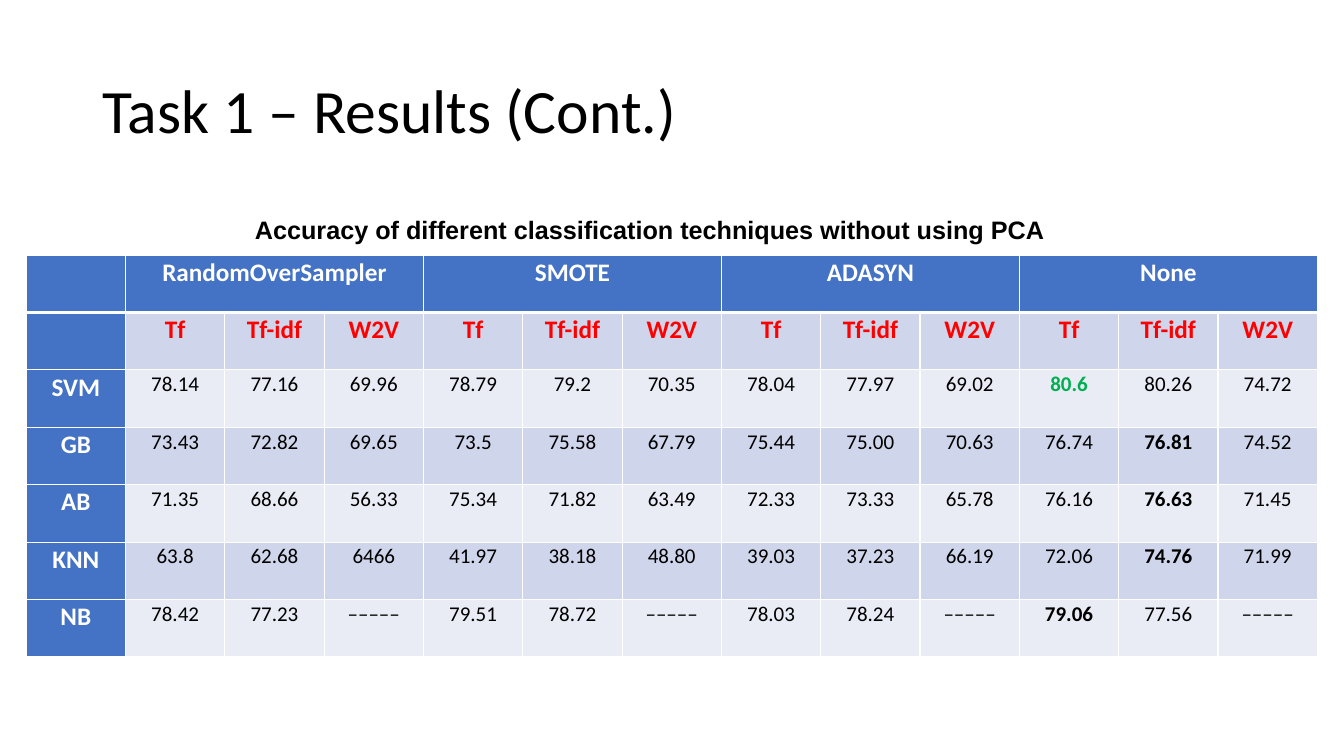
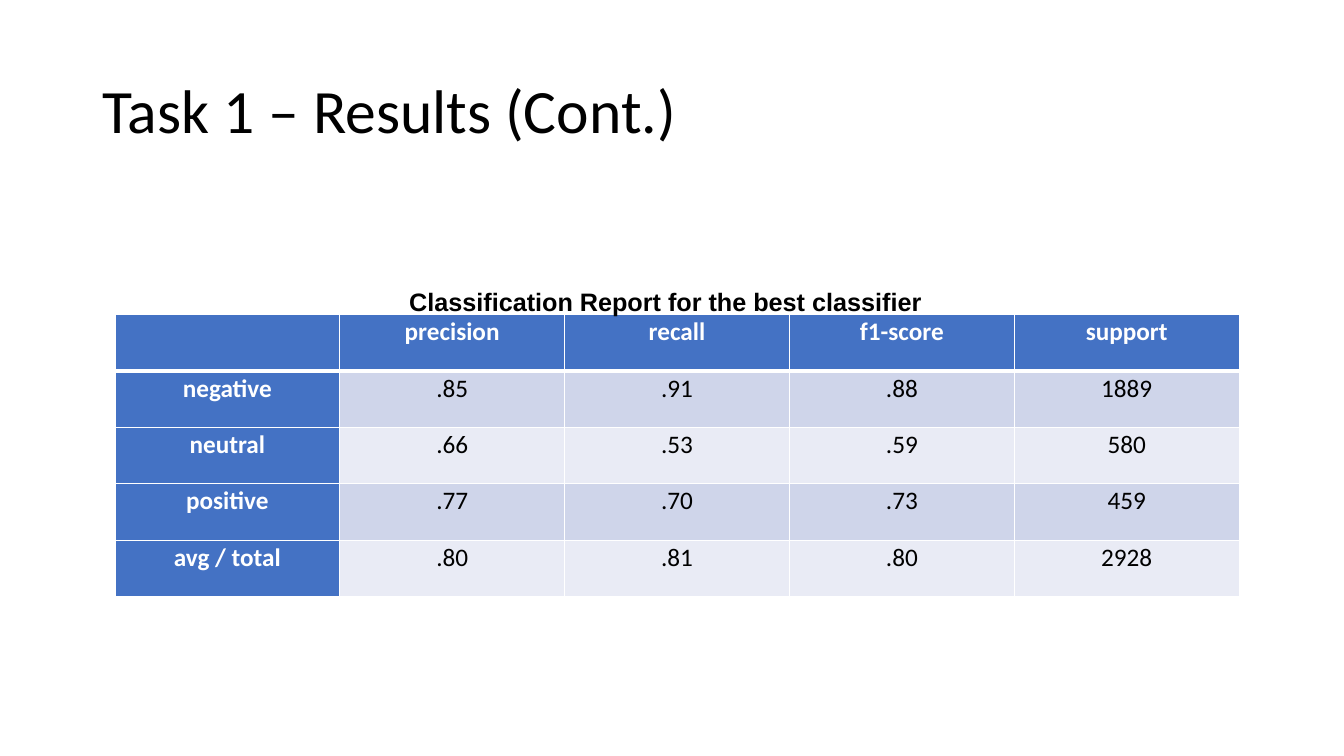
from lxml.etree import SubElement
from pptx import Presentation
from pptx.dml.color import RGBColor
from pptx.enum.text import MSO_ANCHOR, PP_ALIGN
from pptx.oxml.ns import qn
from pptx.util import Inches, Pt

BLACK = RGBColor(0x00, 0x00, 0x00)
WHITE = RGBColor(0xFF, 0xFF, 0xFF)
RED = RGBColor(0xFF, 0x00, 0x00)
GREEN = RGBColor(0x00, 0xB0, 0x50)
HEADER_BLUE = RGBColor(0x44, 0x72, 0xC4)
DARK_BAND = RGBColor(0xCF, 0xD5, 0xEA)
LIGHT_BAND = RGBColor(0xE9, 0xEB, 0xF5)

BODY_FONT = "Calibri"
CAPTION_FONT = "Arial"
TITLE = "Task 1 – Results (Cont.)"
HEADING_SIZE = 18

SAMPLERS = ["RandomOverSampler", "SMOTE", "ADASYN", "None"]
FEATURES = ["Tf", "Tf-idf", "W2V"]
ACCURACY = {
    "SVM": "78.14 77.16 69.96 78.79 79.2 70.35 78.04 77.97 69.02 80.6 80.26 74.72",
    "GB": "73.43 72.82 69.65 73.5 75.58 67.79 75.44 75.00 70.63 76.74 76.81 74.52",
    "AB": "71.35 68.66 56.33 75.34 71.82 63.49 72.33 73.33 65.78 76.16 76.63 71.45",
    "KNN": "63.8 62.68 6466 41.97 38.18 48.80 39.03 37.23 66.19 72.06 74.76 71.99",
    "NB": "78.42 77.23 ––––– 79.51 78.72 ––––– 78.03 78.24 ––––– 79.06 77.56 –––––",
}
BEST_CELL = (2, 10)
BEST_PER_ROW = [(3, 11), (4, 11), (5, 11), (6, 10)]

REPORT = [
    ["", "precision", "recall", "f1-score", "support"],
    ["negative", ".85", ".91", ".88", "1889"],
    ["neutral", ".66", ".53", ".59", "580"],
    ["positive", ".77", ".70", ".73", "459"],
    ["avg / total", ".80", ".81", ".80", "2928"],
]


def write(frame, text, size, color=BLACK, bold=False, font=BODY_FONT,
          align=PP_ALIGN.CENTER, spacing=1.07):
    frame.text = text
    para = frame.paragraphs[0]
    para.alignment = align
    para.line_spacing = spacing
    for span in para.runs:
        span.font.name = font
        span.font.size = Pt(size)
        span.font.bold = bold
        span.font.color.rgb = color


def add_text(page, left, top, width, height):
    box = page.shapes.add_textbox(*map(Inches, (left, top, width, height)))
    box.text_frame.word_wrap = True
    return box.text_frame


def add_title(page):
    frame = add_text(page, 0.92, 0.4, 11.5, 1.45)
    frame.vertical_anchor = MSO_ANCHOR.MIDDLE
    write(frame, TITLE, 44, align=PP_ALIGN.LEFT, spacing=0.9)


def add_caption(page, text, left, top, width, align):
    frame = add_text(page, left, top, width, 0.4)
    write(frame, text, HEADING_SIZE, bold=True, font=CAPTION_FONT, align=align)


def set_borders(cell, row):
    """White borders, with a thick one between the header row and the body."""
    widths = {"lnL": 1, "lnR": 1, "lnT": 3 if row == 1 else 1, "lnB": 3 if row == 0 else 1}
    properties = cell._tc.get_or_add_tcPr()
    for side, width in widths.items():
        line = SubElement(properties, qn(f"a:{side}"), w=str(Pt(width)))
        fill = SubElement(line, qn("a:solidFill"))
        SubElement(fill, qn("a:srgbClr"), val=str(WHITE))


def add_result_table(page, rows, left, top, width, row_height, body_size, styles=None):
    """Draw a banded table; styles maps (row, column) to size, colour and bold."""
    styles = styles or {}
    count = len(rows[0])
    table = page.shapes.add_table(
        len(rows), count, Inches(left), Inches(top),
        Inches(width), Inches(row_height * len(rows))).table
    for column in table.columns:
        column.width = Inches(width / count)
    for row, texts in enumerate(rows):
        table.rows[row].height = Inches(row_height)
        for col, text in enumerate(texts):
            cell = table.cell(row, col)
            set_borders(cell, row)
            is_heading = row == 0 or col == 0
            band = DARK_BAND if row % 2 else LIGHT_BAND
            cell.fill.solid()
            cell.fill.fore_color.rgb = HEADER_BLUE if is_heading else band
            if text:
                cell.margin_left = cell.margin_right = Inches(0.07)
                cell.margin_top = cell.margin_bottom = 0
                default = (HEADING_SIZE, WHITE, True) if is_heading else (body_size, BLACK, False)
                write(cell.text_frame, text, *styles.get((row, col), default))
    return table


def add_accuracy_slide(page):
    add_title(page)
    group = len(FEATURES)
    sampler_row = [""]
    for sampler in SAMPLERS:
        sampler_row += [sampler] + [""] * (group - 1)
    rows = [sampler_row, [""] + FEATURES * len(SAMPLERS)]
    rows += [[name] + values.split() for name, values in ACCURACY.items()]

    body_size = 15
    styles = {(1, col): (HEADING_SIZE, RED, True) for col in range(1, len(sampler_row))}
    styles.update({place: (body_size, BLACK, True) for place in BEST_PER_ROW})
    styles[BEST_CELL] = (body_size, GREEN, True)
    table = add_result_table(page, rows, 0.26, 2.53, 12.81, 0.57, body_size, styles)
    for first in range(1, len(sampler_row), group):
        table.cell(0, first).merge(table.cell(0, first + group - 1))
    add_caption(page, "Accuracy of different classification techniques without using PCA",
                2.24, 2.06, 8.41, PP_ALIGN.CENTER)


def add_report_slide(page):
    add_title(page)
    add_result_table(page, REPORT, 1.14, 3.12, 11.15, 0.56, HEADING_SIZE)
    add_caption(page, "Classification Report for the best classifier",
                3.96, 2.77, 5.41, PP_ALIGN.LEFT)


def main():
    deck = Presentation()
    deck.slide_width, deck.slide_height = Inches(13.33), Inches(7.5)
    blank = deck.slide_layouts[6]
    for fill_page in (add_accuracy_slide, add_report_slide):
        fill_page(deck.slides.add_slide(blank))
    deck.save("out.pptx")


if __name__ == "__main__":
    main()
